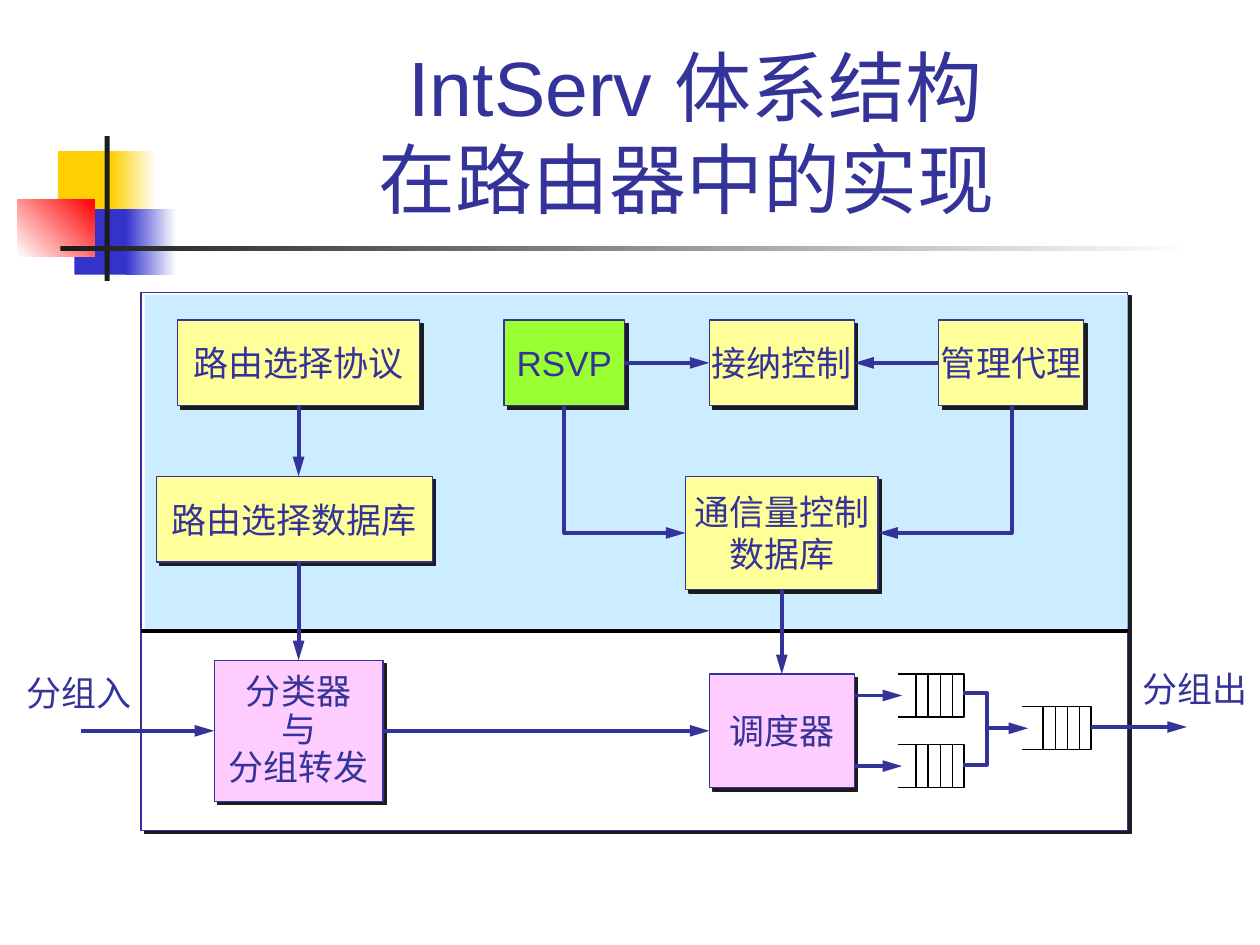
from dataclasses import dataclass
from lxml import etree
from pptx import Presentation
from pptx import util as u
from pptx.dml.color import RGBColor
from pptx.enum import shapes, text
from pptx.oxml import ns

Inches = u.Inches
TOP, LEFT, BOTTOM, RIGHT = range(4)  # connection sites of a rectangle


@dataclass(frozen=True)
class Theme:
    font: str = "Arial"
    title_size: int = 44
    body_size: int = 20
    ink: str = "333399"
    dark: str = "1C1C1C"
    black: str = "000000"
    white: str = "FFFFFF"
    gold: str = "FFCF01"
    blue: str = "3333CC"
    red: str = "FF0000"
    sky: str = "CCECFF"
    yellow: str = "FFFF99"
    green: str = "99FF33"
    pink: str = "FFCCFF"
    thin: float = 0.75
    thick: float = 2.25


T = Theme()


def rgb(value):
    return RGBColor.from_string(value)


def write(tf, lines, size=T.body_size, color=T.ink, align=text.PP_ALIGN.CENTER,
          anchor=text.MSO_ANCHOR.MIDDLE, wrap=False, spacing=None):
    """Fill a text frame, one paragraph per line; a vertical tab breaks a line."""
    tf.word_wrap = wrap
    tf.vertical_anchor = anchor
    for i, line in enumerate(lines):
        p = tf.paragraphs[0] if i == 0 else tf.add_paragraph()
        p.text = line
        p.alignment = align
        p.line_spacing = spacing
        for r in p.runs:
            r.font.name, r.font.size = T.font, u.Pt(size)
            r.font.color.rgb = rgb(color)


def style_line(line, color, width, arrow=False):
    line.color.rgb = rgb(color)
    line.width = u.Pt(width)
    if arrow:
        ln = line._get_or_add_ln()
        etree.SubElement(ln, ns.qn("a:tailEnd"), type="triangle", w="med", len="lg")


def add_shadow(sp):
    effects = sp._element.spPr.find(ns.qn("a:effectLst"))
    outer = etree.SubElement(effects, ns.qn("a:outerShdw"), blurRad="0",
                             dist=str(u.Pt(2.8)), dir="2700000", algn="ctr", rotWithShape="0")
    etree.SubElement(outer, ns.qn("a:srgbClr"), val=T.dark)


def add_rect(s, x, y, w, h, fill, fade_to=None, angle=0, framed=False):
    sp = s.shapes.add_shape(shapes.MSO_SHAPE.RECTANGLE, *map(Inches, (x, y, w, h)))
    sp.shadow.inherit = False
    if fade_to:
        sp.fill.gradient()
        sp.fill.gradient_angle = angle
        for stop, color, place in zip(sp.fill.gradient_stops, (fill, fade_to), (0, 1)):
            stop.color.rgb = rgb(color)
            stop.position = place
    else:
        sp.fill.solid()
        sp.fill.fore_color.rgb = rgb(fill)
    if framed:
        style_line(sp.line, T.ink, T.thin)
        add_shadow(sp)
    else:
        sp.line.fill.background()
    return sp


def add_box(s, lines, x, y, w, h, fill, spacing=None):
    sp = add_rect(s, x, y, w, h, fill, framed=True)
    write(sp.text_frame, lines, spacing=spacing)
    return sp


def add_line(s, start, end, color=T.ink, width=T.thick, arrow=True, begin=None, finish=None):
    """Draw a straight line; begin and finish are optional (shape, site) pairs."""
    c = s.shapes.add_connector(shapes.MSO_CONNECTOR.STRAIGHT, *map(Inches, start + end))
    etree.SubElement(c._element.spPr, ns.qn("a:effectLst"))
    style_line(c.line, color, width, arrow)
    if begin:
        c.begin_connect(*begin)
    if finish:
        c.end_connect(*finish)


def add_path(s, points, color=T.ink, width=T.thick, arrow=False):
    first, *rest = [(Inches(x), Inches(y)) for x, y in points]
    builder = s.shapes.build_freeform(*first)
    builder.add_line_segments(rest, close=False)
    sp = builder.convert_to_shape()
    sp.shadow.inherit = False
    sp.fill.background()
    style_line(sp.line, color, width, arrow)


def add_queue(s, x, y, w, h=0.34):
    """Queue open on the left, with four slots marked at its right."""
    right, bottom = x + w, y + h
    add_path(s, [(x, y), (right, y), (right, bottom), (x, bottom)], T.black, T.thin)
    for i in range(4):
        slot = right - 0.09 - i * 0.097
        add_line(s, (slot, y), (slot, bottom), T.black, T.thin, arrow=False)


def add_label(s, label, x, y):
    """One-line label; no right margin, so that the line has room to spare."""
    sp = s.shapes.add_textbox(*map(Inches, (x, y, 1.03, 0.44)))
    tf = sp.text_frame
    write(tf, [label], align=text.PP_ALIGN.LEFT, anchor=text.MSO_ANCHOR.TOP, wrap=True)
    tf.margin_right = 0
    tf.auto_size = text.MSO_AUTO_SIZE.NONE


def add_decoration(s):
    add_rect(s, 0.46, 1.2, 0.48, 0.52, T.gold)
    add_rect(s, 0.88, 1.2, 0.36, 0.52, T.gold, T.white)
    add_rect(s, 0.59, 1.66, 0.46, 0.52, T.blue)
    add_rect(s, 1, 1.66, 0.4, 0.52, T.blue, T.white)
    add_rect(s, 0.14, 1.58, 0.61, 0.46, T.white, T.red, angle=45)
    add_rect(s, 0.83, 1.08, 0.04, 1.15, T.dark)
    add_rect(s, 0.48, 1.95, 9, 0.04, T.dark, T.white)


def add_title(s):
    title = s.shapes.title
    title.left, title.top, title.width, title.height = map(Inches, (1.26, 0.23, 8.52, 1.6))
    write(title.text_frame, ["IntServ 体系结构\v在路由器中的实现 "], size=T.title_size,
          anchor=text.MSO_ANCHOR.BOTTOM, wrap=True)
    title.text_frame.auto_size = text.MSO_AUTO_SIZE.NONE


def main():
    prs = Presentation()
    prs.slide_width, prs.slide_height = Inches(10), Inches(7.5)
    s = prs.slides.add_slide(prs.slide_layouts[5])
    add_decoration(s)
    add_title(s)

    # Router frame and its control plane
    add_rect(s, 1.12, 2.32, 7.83, 4.27, T.white, framed=True)
    add_rect(s, 1.15, 2.34, 7.8, 2.65, T.sky)

    # Modules
    row1, row2, h = 2.54, 3.78, 0.68
    protocol = add_box(s, ["路由选择协议"], 1.41, row1, 1.92, h, T.yellow)
    add_box(s, ["路由选择数据库"], 1.24, row2, 2.19, h, T.yellow)
    rsvp = add_box(s, ["RSVP"], 4, row1, 0.96, h, T.green)
    admission = add_box(s, ["接纳控制"], 5.63, row1, 1.15, h, T.yellow)
    agent = add_box(s, ["管理代理"], 7.45, row1, 1.15, h, T.yellow)
    traffic_db = add_box(s, ["通信量控制", "数据库"], 5.44, row2, 1.53, 0.9, T.yellow)
    classifier = add_box(s, ["分类器", "与", "分组转发"], 1.7, 5.24, 1.34, 1.12, T.pink, 0.9)
    scheduler = add_box(s, ["调度器"], 5.63, 5.35, 1.15, 0.9, T.pink)

    # Queues and the path that merges them
    for y in (5.35, 5.91):
        add_queue(s, 7.13, y, 0.52)
        add_line(s, (6.78, y + 0.17), (7.16, y + 0.17))
    add_path(s, [(7.64, 5.5), (7.83, 5.5), (7.83, 6.07), (7.64, 6.07)])
    add_line(s, (7.83, 5.78), (8.16, 5.78))
    add_queue(s, 8.11, 5.61, 0.55)
    add_line(s, (8.66, 5.77), (9.42, 5.77))

    # Border between control plane and forwarding plane
    add_line(s, (1.12, 5.01), (8.95, 5.01), T.black, arrow=False)

    # Flows between modules
    add_line(s, (2.37, 3.22), (2.37, 3.78), begin=(protocol, BOTTOM))
    add_line(s, (2.37, 4.46), (2.37, 5.24), finish=(classifier, TOP))
    add_line(s, (0.64, 5.8), (1.7, 5.8), finish=(classifier, LEFT))
    for a, a_site, b, b_site in (
        (rsvp, RIGHT, admission, LEFT),
        (agent, LEFT, admission, RIGHT),
        (traffic_db, BOTTOM, scheduler, TOP),
        (classifier, RIGHT, scheduler, LEFT),
    ):
        add_line(s, (0, 0), (1, 1), begin=(a, a_site), finish=(b, b_site))
    for x, end in ((4.48, 5.44), (8.03, 6.97)):
        add_path(s, [(x, 3.22), (x, 4.23), (end, 4.23)], arrow=True)

    # Packet entry and exit
    add_label(s, "分组入", 0.11, 5.28)
    add_label(s, "分组出", 8.97, 5.25)

    prs.save("out.pptx")


if __name__ == "__main__":
    main()
